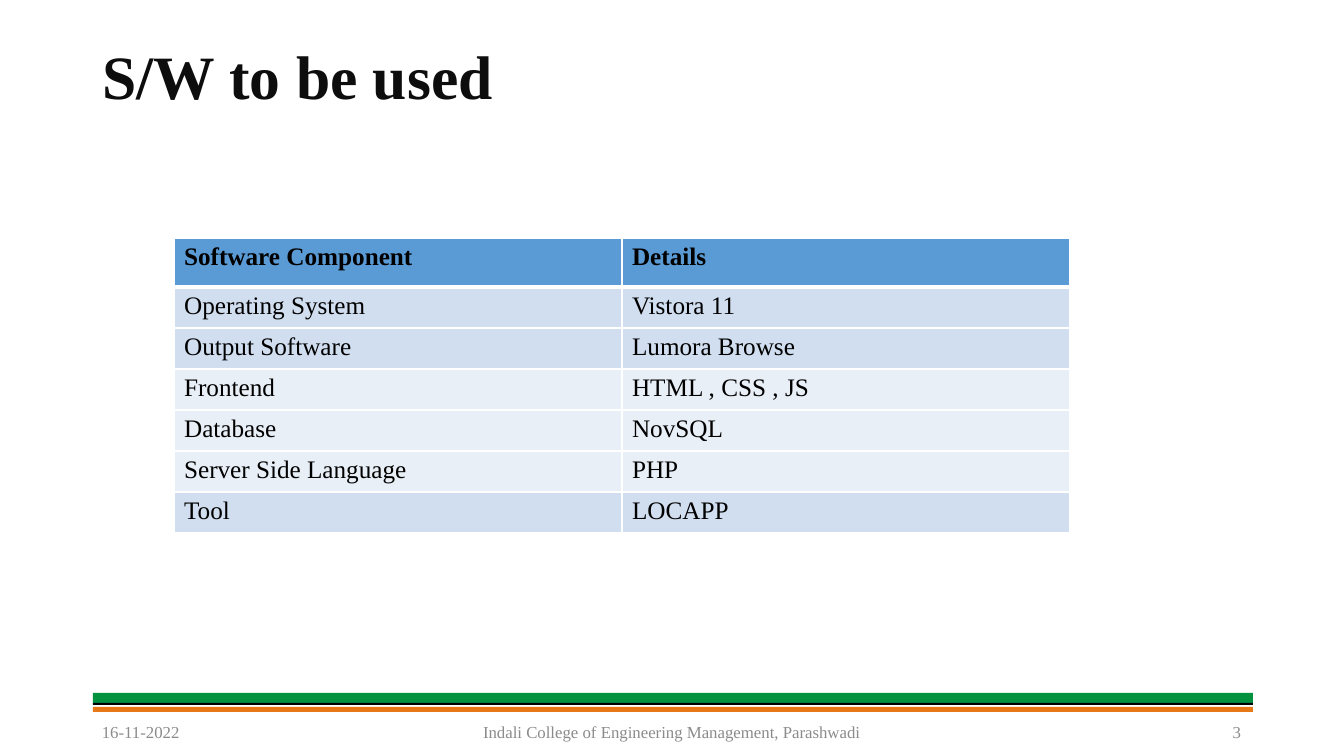
from lxml.etree import SubElement
from pptx import Presentation
from pptx.dml.color import RGBColor
from pptx.enum.shapes import MSO_SHAPE
from pptx.enum.text import MSO_ANCHOR, PP_ALIGN
from pptx.oxml.ns import qn
from pptx.util import Emu, Pt

PX = 914400 / 100.8
FONT = "Times New Roman"
COLORS = {
    "white": "FFFFFF", "black": "000000", "title": "0D0D0D", "footer": "8B8B8B",
    "green": "02913F", "orange": "E67817",
    "header": "5B9BD5", "dark_band": "D1DEEF", "light_band": "E9EFF7",
}


def px(*lengths):
    return [Emu(round(length * PX)) for length in lengths]


def write(frame, text, size=18, color="black", bold=False,
          align=PP_ALIGN.LEFT, anchor=MSO_ANCHOR.MIDDLE, spacing=1.0):
    frame.word_wrap = True
    frame.vertical_anchor = anchor
    para = frame.paragraphs[0]
    para.alignment = align
    para.line_spacing = spacing
    span = para.add_run()
    span.text = text
    span.font.name = FONT
    span.font.size = Pt(size)
    span.font.bold = bold
    span.font.color.rgb = RGBColor.from_string(COLORS[color])


deck = Presentation()
deck.slide_width, deck.slide_height = px(1344, 756)
page = deck.slides.add_slide(deck.slide_layouts[5])

# Footer stripes
for top, height, color in [(693, 10, "green"), (707, 5, "orange"), (703, 2, "black")]:
    stripe = page.shapes.add_shape(MSO_SHAPE.RECTANGLE, *px(93, top, 1160, height))
    stripe.shadow.inherit = False
    stripe.fill.solid()
    stripe.fill.fore_color.rgb = RGBColor.from_string(COLORS[color])
    stripe.line.fill.background()

# Title
title = page.shapes.title
title.left, title.top, title.width, title.height = px(92, 27, 1159, 105)
title.line.color.rgb = RGBColor.from_string(COLORS["white"])
title.line.width = Pt(1.5)
write(title.text_frame, "S/W to be used", size=44, color="title", bold=True, spacing=0.9)

# Software table
rows = [
    ("Software Component", "Details", "header"),
    ("Operating System", "Vistora 11", "dark_band"),
    ("Output Software", "Lumora Browse", "dark_band"),
    ("Frontend", "HTML , CSS , JS", "light_band"),
    ("Database", "NovSQL", "light_band"),
    ("Server Side Language", "PHP", "light_band"),
    ("Tool", "LOCAPP", "dark_band"),
]
header_height, row_height = 49, 41
table_height = header_height + row_height * (len(rows) - 1)
table = page.shapes.add_table(len(rows), 2, *px(174, 238, 896, table_height)).table
for column in table.columns:
    column.width = px(448)[0]

for row_index, (*texts, band) in enumerate(rows):
    is_header = row_index == 0
    table.rows[row_index].height = px(header_height if is_header else row_height)[0]
    for column_index, text in enumerate(texts):
        cell = table.cell(row_index, column_index)
        write(cell.text_frame, text, bold=is_header)
        cell.vertical_anchor = MSO_ANCHOR.TOP
        cell.fill.solid()
        cell.fill.fore_color.rgb = RGBColor.from_string(COLORS[band])

        # White borders, heavier under the header; they go before the fill
        properties = cell._tc.get_or_add_tcPr()
        for position, side in enumerate(["lnL", "lnR", "lnT", "lnB"]):
            heavy = (row_index, side) in [(0, "lnB"), (1, "lnT")]
            border = SubElement(properties, qn(f"a:{side}"), w=str(Pt(3 if heavy else 0.96)))
            paint = SubElement(border, qn("a:solidFill"))
            SubElement(paint, qn("a:srgbClr"), val=COLORS["white"])
            properties.insert(position, border)

# Footer texts
footers = [
    (445, 454, "Indali College of Engineering Management, Parashwadi", PP_ALIGN.CENTER),
    (949, 302, "3", PP_ALIGN.RIGHT),
    (92, 302, "16-11-2022", PP_ALIGN.LEFT),
]
for left, width, text, align in footers:
    box = page.shapes.add_textbox(*px(left, 712, width, 40))
    write(box.text_frame, text, size=12, color="footer", align=align)

deck.save("out.pptx")
